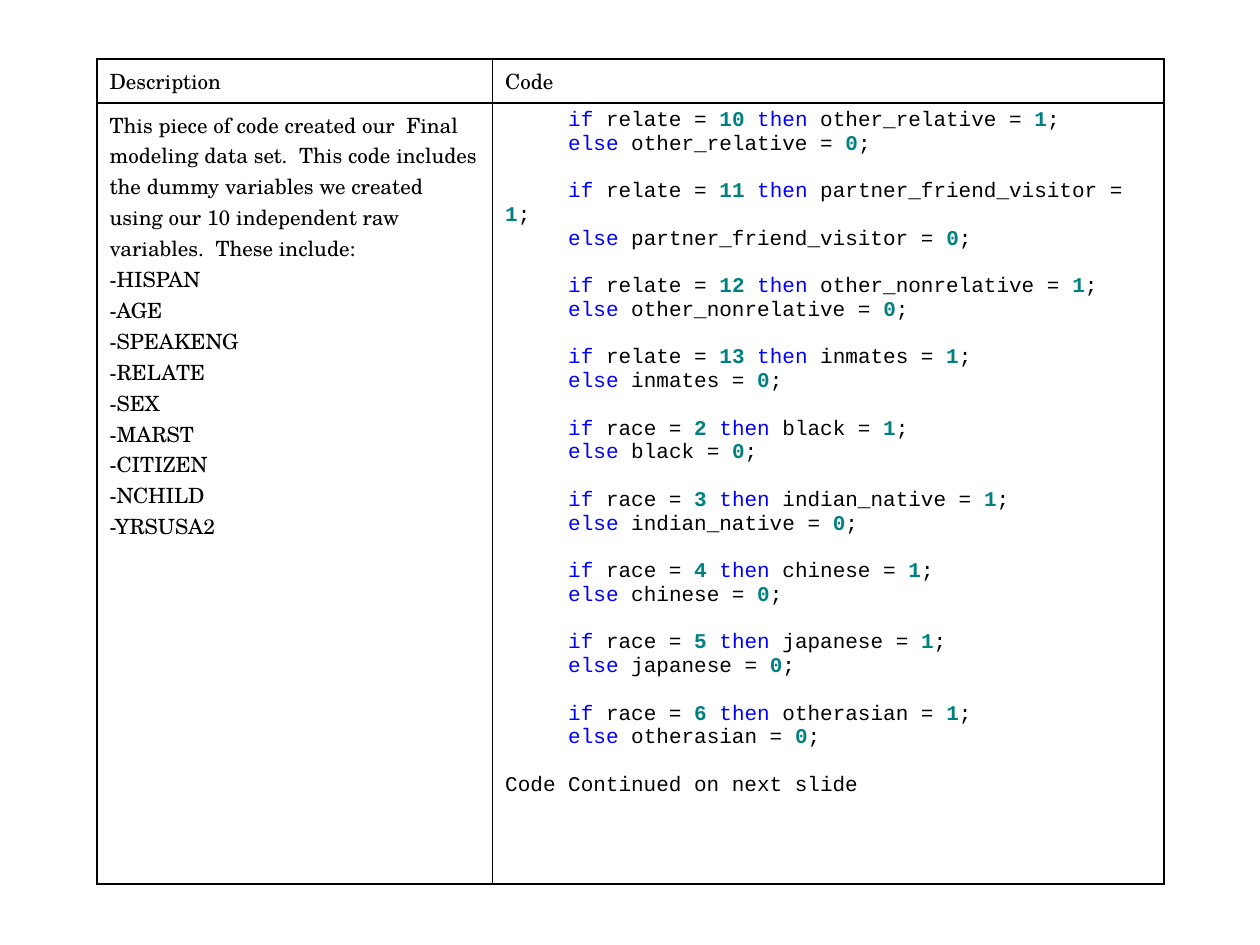
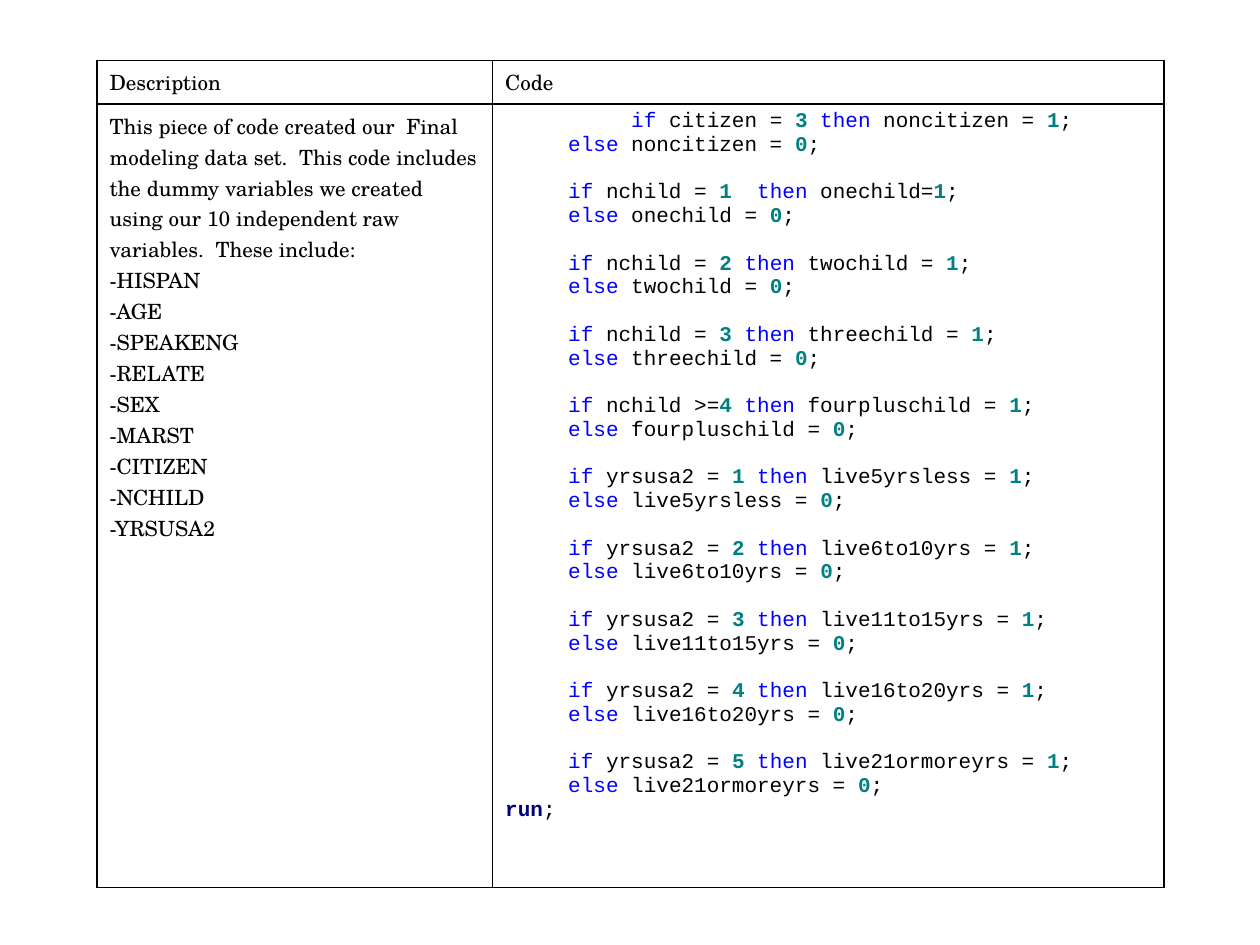
"""Builds two slides that describe and list the dummy-variable code."""
import lxml.etree
import pptx
import pptx.dml.color
import pptx.oxml.ns
import pptx.util

Inches, Pt, qn = pptx.util.Inches, pptx.util.Pt, pptx.oxml.ns.qn

COLORS = {"text": "000000", "keyword": "0000FF", "number": "008080", "step": "000080"}
PROSE_FONT, CODE_FONT = "TeX Gyre Schola", "Courier New"
CODE_LINE = Pt(13.6)
COLUMN_WIDTHS = (3.14, 5.33)

DESCRIPTION = (
    "This piece of code created our  Final modeling data set.  This code includes "
    "the dummy variables we created using our 10 independent raw variables.  "
    "These include:"
)
RAW_VARIABLES = ("HISPAN", "AGE", "SPEAKENG", "RELATE", "SEX",
                 "MARST", "CITIZEN", "NCHILD", "YRSUSA2")

LISTINGS = [
    {
        "top": 0.47, "rows": (0.32, 6.2), "first_indent": "\t",
        "rules": [
            ("relate = ", "10 ", "other_relative = "),
            ("relate = ", "11 ", "partner_friend_visitor = "),
            ("relate = ", "12 ", "other_nonrelative = "),
            ("relate = ", "13 ", "inmates = "),
            ("race = ", "2 ", "black = "),
            ("race = ", "3 ", "indian_native = "),
            ("race = ", "4 ", "chinese = "),
            ("race = ", "5 ", "japanese = "),
            ("race = ", "6 ", "otherasian = "),
        ],
        "ending": [("Code Continued on next slide", "text")],
        "ending_gap": CODE_LINE,
    },
    {
        "top": 0.48, "rows": (0.31, 6.22), "first_indent": "\t\t",
        "rules": [
            ("citizen = ", "3 ", "noncitizen = "),
            ("nchild = ", "1  ", "onechild="),
            ("nchild = ", "2 ", "twochild = "),
            ("nchild = ", "3 ", "threechild = "),
            ("nchild >=", "4 ", "fourpluschild = "),
            ("yrsusa2 = ", "1 ", "live5yrsless = "),
            ("yrsusa2 = ", "2 ", "live6to10yrs = "),
            ("yrsusa2 = ", "3 ", "live11to15yrs = "),
            ("yrsusa2 = ", "4 ", "live16to20yrs = "),
            ("yrsusa2 = ", "5 ", "live21ormoreyrs = "),
        ],
        "ending": [("run", "step"), (";", "text")],
        "ending_gap": Pt(0),
    },
]


def write_lines(cell, lines, font_name):
    """Fill a cell with lines, each a gap above and a list of (text, role) runs."""
    for index, (gap, runs) in enumerate(lines):
        frame = cell.text_frame
        line = frame.add_paragraph() if index else frame.paragraphs[0]
        if font_name == CODE_FONT:
            stops = lxml.etree.SubElement(line._p.get_or_add_pPr(), qn("a:tabLst"))
            for position in (0.5, 1):
                lxml.etree.SubElement(stops, qn("a:tab"), pos=str(Inches(position)), algn="l")
        line.space_before = gap
        for text, role in runs:
            run = line.add_run()
            run.text = text
            run.font.name = font_name
            run.font.size = Pt(12)
            run.font.bold = role in ("number", "step")
            run.font.color.rgb = pptx.dml.color.RGBColor.from_string(COLORS[role])


def outline(cell):
    """Leave a cell unfilled and draw a thin line on all four sides."""
    cell.fill.background()
    properties = cell._tc.get_or_add_tcPr()
    for position, side in enumerate(("lnL", "lnR", "lnT", "lnB")):
        border = lxml.etree.Element(qn(f"a:{side}"), w=str(Pt(1)))
        fill = lxml.etree.SubElement(border, qn("a:solidFill"))
        lxml.etree.SubElement(fill, qn("a:srgbClr"), val=COLORS["text"])
        properties.insert(position, border)


deck = pptx.Presentation()
deck.slide_width, deck.slide_height = Inches(10), Inches(7.5)

description_lines = [(Pt(0), [(DESCRIPTION, "text")])]
description_lines += [(Pt(0), [(f"-{name}", "text")]) for name in RAW_VARIABLES]

for listing in LISTINGS:
    slide = deck.slides.add_slide(deck.slide_layouts[6])
    table = slide.shapes.add_table(
        2, 2, Inches(0.77), Inches(listing["top"]),
        Inches(sum(COLUMN_WIDTHS)), Inches(sum(listing["rows"]))).table
    table.first_row = table.horz_banding = False
    for column, width in zip(table.columns, COLUMN_WIDTHS):
        column.width = Inches(width)
    for row, height in zip(table.rows, listing["rows"]):
        row.height = Inches(height)
    for cell in table.iter_cells():
        outline(cell)

    code_lines = []
    for index, (condition, value, assignment) in enumerate(listing["rules"]):
        dummy = assignment.rstrip(" =")
        code_lines.append((CODE_LINE if index else Pt(0), [
            ("\t" if index else listing["first_indent"], "text"),
            ("if ", "keyword"), (condition, "text"), (value, "number"),
            ("then ", "keyword"), (assignment, "text"), ("1", "number"), (";", "text")]))
        code_lines.append((Pt(0), [
            ("\t", "text"), ("else ", "keyword"), (f"{dummy} = ", "text"),
            ("0", "number"), (";", "text")]))
    code_lines.append((listing["ending_gap"], listing["ending"]))

    for column, heading in enumerate(("Description", "Code")):
        write_lines(table.cell(0, column), [(Pt(0), [(heading, "text")])], PROSE_FONT)
    write_lines(table.cell(1, 0), description_lines, PROSE_FONT)
    write_lines(table.cell(1, 1), code_lines, CODE_FONT)

deck.save("out.pptx")
